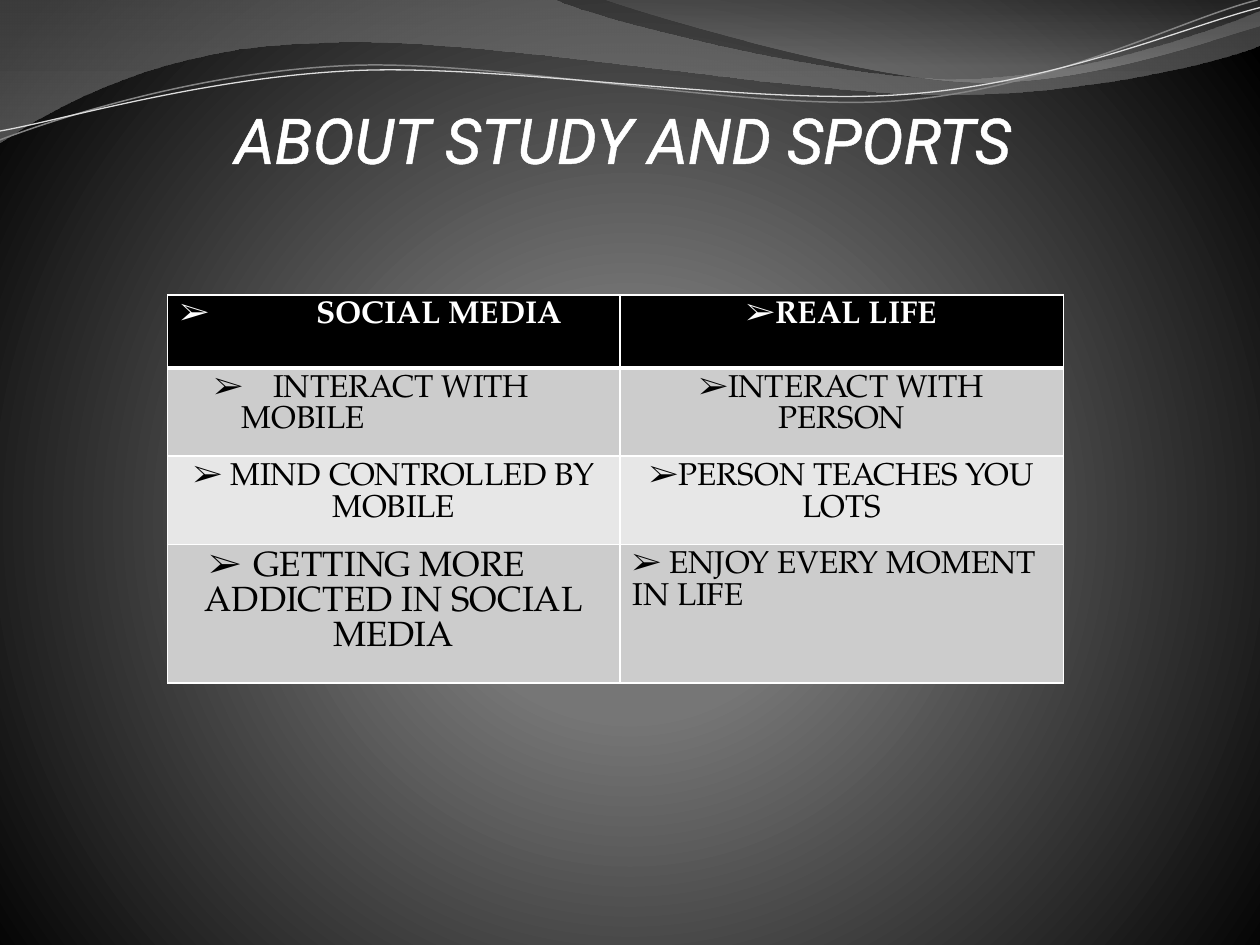
from dataclasses import dataclass

from lxml.etree import SubElement
from pptx import Presentation
from pptx.dml.color import RGBColor as RGB
from pptx.enum.text import MSO_ANCHOR as ANCHOR, PP_ALIGN as ALIGN
from pptx.oxml import parse_xml
from pptx.oxml.ns import nsdecls, qn
from pptx.util import Inches, Pt


@dataclass(frozen=True)
class Theme:
    cell: float = 0.1
    columns: int = 100
    rows: int = 75
    title_font: str = "Roboto"
    body_font: str = "TeX Gyre Pagella"
    title_size: int = 36
    body_size: int = 18
    large_size: int = 20
    light: str = "FFFFFF"
    dark: str = "000000"
    bands: tuple = ("CCCCCC", "E7E7E7")
    backdrop: tuple = ((0, "7F7F7F", 100), (25, "767676", 100), (100, "000000", 100))
    wave: tuple = ((0, "848484", 45), (100, "888888", 55))
    crest: tuple = ((0, "6F6F6F", 30), (80, "9D9D9D", 45))
    strands: tuple = (("848484", 0.85), ("DDDDDD", 0.75))
    bullet: str = "➢"


@dataclass(frozen=True)
class Line:
    text: str
    align: ALIGN = ALIGN.CENTER
    left: float = 0
    hang: float = 0
    large: bool = False
    bullet: bool = True


def gradient(stops, shade):
    marks = "".join(
        f'<a:gs pos="{pos * 1000}"><a:srgbClr val="{color}">'
        f'<a:alpha val="{alpha * 1000}"/></a:srgbClr></a:gs>'
        for pos, color, alpha in stops)
    return f'<a:gradFill {nsdecls("a")} rotWithShape="1"><a:gsLst>{marks}</a:gsLst>{shade}</a:gradFill>'


class Deck:
    """Holds the theme and the current slide, and draws each kind of element."""

    def __init__(self, theme):
        self.theme = theme
        self.prs = Presentation()
        self.prs.slide_width = self.at(theme.columns)
        self.prs.slide_height = self.at(theme.rows)
        self.s = self.prs.slides.add_slide(self.prs.slide_layouts[6])

    def at(self, cells):
        return Inches(cells * self.theme.cell)

    def background(self, stops):
        shade = ('<a:path path="circle"><a:fillToRect l="10000" t="110000" '
                 'r="10000" b="100000"/></a:path>')
        self.s.element.cSld.insert(0, parse_xml(
            f'<p:bg {nsdecls("p")}><p:bgPr>{gradient(stops, shade)}'
            f'<a:effectLst {nsdecls("a")}/></p:bgPr></p:bg>'))

    def outline(self, start, pieces, close):
        builder = self.s.shapes.build_freeform(*map(self.at, start), scale=1.0)
        builder.add_line_segments(
            [tuple(map(self.at, piece[-2:])) for piece in pieces], close=close)
        sp = builder.convert_to_shape()
        sp.shadow.inherit = False
        sp.fill.background()
        segments = list(sp.element.iter(qn("a:lnTo")))
        for segment, piece in zip(segments, pieces):
            if len(piece) == 6:
                self.bend(sp, segment, piece)
        return sp

    def bend(self, sp, segment, piece):
        segment.tag = qn("a:cubicBezTo")
        segment.remove(segment[0])
        for x, y in zip(piece[::2], piece[1::2]):
            SubElement(segment, qn("a:pt"), x=str(self.at(x) - sp.left),
                       y=str(self.at(y) - sp.top))

    def wave(self, stops, start, *pieces):
        sp = self.outline(start, pieces, True)
        sp.line.fill.background()
        blank = sp.element.spPr.find(qn("a:noFill"))
        blank.getparent().replace(blank, parse_xml(
            gradient(stops, '<a:lin ang="5400000" scaled="0"/>')))

    def strand(self, style, start, *pieces):
        sp = self.outline(start, pieces, False)
        color, width = style
        sp.line.color.rgb = RGB.from_string(color)
        sp.line.width = Pt(width)

    def font(self, font, name, size, color):
        font.name, font.size = name, Pt(size)
        font.color.rgb = RGB.from_string(color)

    def stroke(self, tag, width):
        return parse_xml(
            f'<a:{tag} {nsdecls("a")} w="{Pt(width)}"><a:solidFill>'
            f'<a:srgbClr val="{self.theme.light}"/></a:solidFill></a:{tag}>')

    def title(self, text, x, y, w, h):
        t = self.theme
        tf = self.s.shapes.add_textbox(*map(self.at, (x, y, w, h))).text_frame
        tf.word_wrap = True
        tf.vertical_anchor = ANCHOR.BOTTOM
        tf.margin_left = tf.margin_top = tf.margin_bottom = 0
        tf.margin_right = self.at(0.2)
        p = tf.paragraphs[0]
        p.alignment = ALIGN.RIGHT
        r = p.add_run()
        r.text = text
        self.font(r.font, t.title_font, t.title_size, t.light)
        r.font.italic = True
        r._r.get_or_add_rPr().insert(0, self.stroke("ln", 1.45))

    def table(self, x, y, columns, rows, content):
        table = self.s.shapes.add_table(
            len(rows), len(columns),
            *map(self.at, (x, y, sum(columns), sum(rows)))).table
        table.first_row = table.horz_banding = False
        for column, width in zip(table.columns, columns):
            column.width = self.at(width)
        for i, (row, height) in enumerate(zip(table.rows, rows)):
            row.height = self.at(height)
            for cell, lines in zip(row.cells, content[i]):
                self.cell(cell, i, lines)

    def cell(self, cell, row, lines):
        t = self.theme
        cell.fill.solid()
        cell.fill.fore_color.rgb = RGB.from_string(t.bands[(row - 1) % 2] if row else t.dark)
        tc_pr = cell._tc.get_or_add_tcPr()
        widths = {"lnL": 1, "lnR": 1, "lnT": 3 if row == 1 else 1, "lnB": 1 if row else 3}
        for i, (side, width) in enumerate(widths.items()):
            tc_pr.insert(i, self.stroke(side, width))
        tf = cell.text_frame
        for i, line in enumerate(lines):
            self.paragraph(tf.add_paragraph() if i else tf.paragraphs[0], line, row == 0)

    def paragraph(self, p, line, header):
        t = self.theme
        p.alignment = line.align
        r = p.add_run()
        r.text = line.text
        self.font(r.font, t.body_font, t.large_size if line.large else t.body_size,
                  t.light if header else t.dark)
        r.font.bold = header
        p_pr = p._p.get_or_add_pPr()
        p_pr.set("marL", str(self.at(line.left)))
        p_pr.set("indent", str(-self.at(line.hang)))
        if line.bullet:
            SubElement(p_pr, qn("a:buFont"), typeface=t.body_font)
            SubElement(p_pr, qn("a:buChar"), char=t.bullet)


def main():
    theme = Theme()
    deck = Deck(theme)
    deck.background(theme.backdrop)
    deck.wave(theme.wave, (0, 0), (44, 0), (47.6, 1.7, 66.4, 6.3, 75.8, 6.3),
              (85.3, 6.3, 95.8, 2.6, 100, 0.9), (100, 3.6),
              (98.3, 4.4, 87, 7.6, 74.6, 7.5), (62.2, 7.5, 38.2, 2.8, 25.7, 3.4),
              (12.9, 3.6, 4.6, 8.3, 0, 11.3))
    deck.wave(theme.crest, (47.9, 0), (50.9, 1.1, 68.2, 6.2, 76.9, 6.5),
              (85.6, 6.9, 96.1, 3.2, 100, 2.1), (100, 0))
    deck.strand(theme.strands[0], (0, 11.1), (4.8, 9.3, 15.8, 5.7, 27.7, 5.2),
                (39.5, 4.7, 59.3, 8.9, 71.3, 8), (83.3, 7.1, 93.8, 1.5, 99.8, 0))
    deck.strand(theme.strands[1], (0, 10.4), (4.7, 9.6, 16.4, 6.1, 28.3, 5.6),
                (40.3, 5.1, 59.7, 8.4, 71.7, 7.5), (83.6, 6.7, 94.1, 2.1, 100, 0.6))
    deck.title("ABOUT STUDY AND SPORTS", 17.2, 6.2, 63.3, 7.8)
    deck.table(13.3, 23.4, (35.9, 35.2), (5.8, 6.7, 6.1, 7.1), (
        ([Line("SOCIAL MEDIA", ALIGN.LEFT, 10.8, 10.8)], [Line("REAL LIFE")]),
        ([Line("INTERACT WITH", ALIGN.LEFT, 7.4, 4.7),
          Line("MOBILE", ALIGN.LEFT, 4.9, bullet=False)],
         [Line("INTERACT WITH PERSON")]),
        ([Line(" MIND CONTROLLED BY MOBILE")], [Line("PERSON TEACHES YOU LOTS")]),
        ([Line("GETTING MORE", ALIGN.LEFT, 5.8, 3.5, large=True),
          Line("ADDICTED IN SOCIAL MEDIA", large=True, bullet=False)],
         [Line(" ENJOY EVERY MOMENT IN LIFE", ALIGN.LEFT)]),
    ))
    deck.prs.save("out.pptx")


if __name__ == "__main__":
    main()
